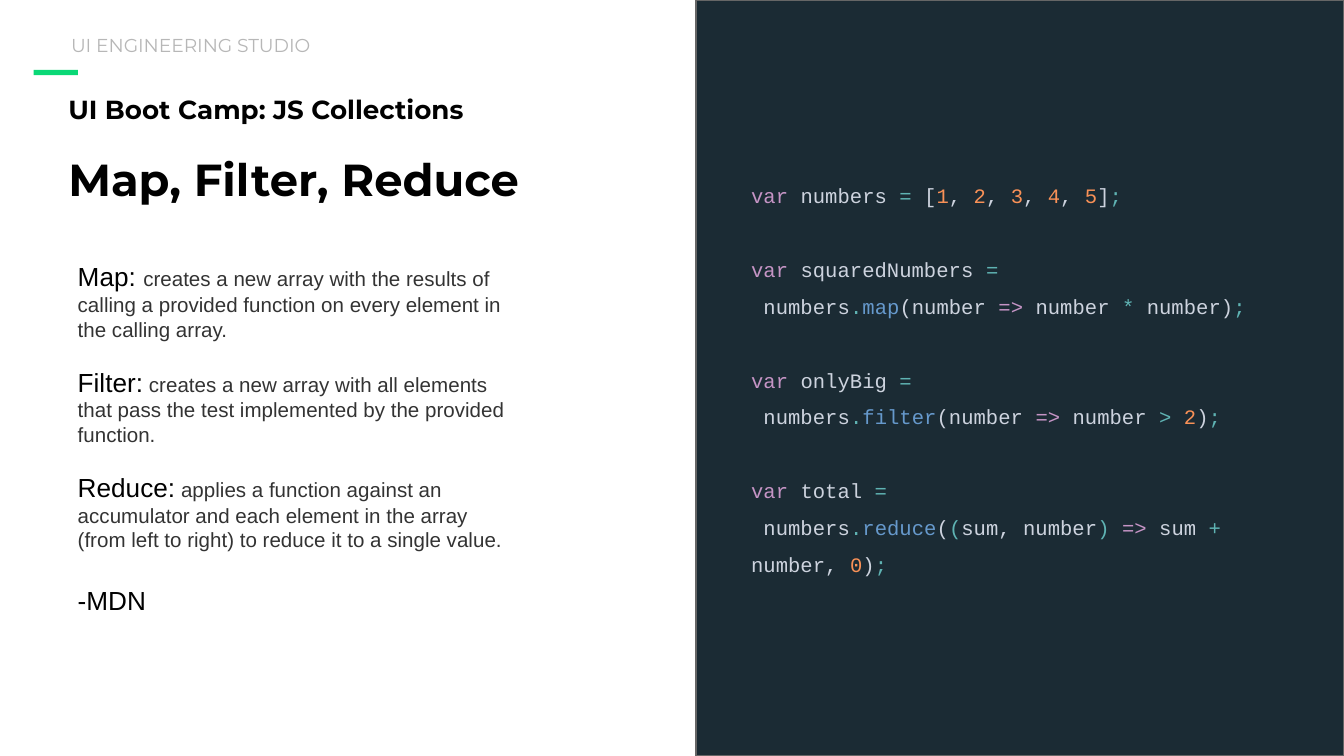
from pptx import Presentation
from pptx.dml.color import RGBColor
from pptx.enum.shapes import MSO_SHAPE as SHAPE
from pptx.enum.text import MSO_ANCHOR as ANCHOR
from pptx.util import Inches, Pt

WIDTH = 10
HEIGHT = WIDTH * 9 / 16
PANEL_LEFT = 5.18

BLACK, GREY = "000000", "333333"
KEYWORD, PLAIN, OP, NUM, FUNC = "C594C5", "CDD3DE", "5FB3B3", "F99157", "6699CC"

DEFINITIONS = [
    ("Map: ", "creates a new array with the results of calling a provided function "
              "on every element in the calling array."),
    ("Filter:", " creates a new array with all elements that pass the test "
                "implemented by the provided function."),
    ("Reduce:", " applies a function against an accumulator and each element in the "
                "array (from left to right) to reduce it to a single value."),
]
NUMBERS = ["1", "2", "3", "4", "5"]
CALLS = [
    ("squaredNumbers", "map",
     [("(number ", PLAIN), ("=>", KEYWORD), (" number", PLAIN), (" *", OP),
      (" number)", PLAIN)]),
    ("onlyBig", "filter",
     [("(number ", PLAIN), ("=>", KEYWORD), (" number", PLAIN), (" > ", OP),
      ("2", NUM), (")", PLAIN)]),
    ("total", "reduce",
     [("(", PLAIN), ("(", OP), ("sum, number", PLAIN), (") ", OP), ("=>", KEYWORD),
      (" sum", PLAIN), (" +", OP), (" number, ", PLAIN), ("0", NUM), (")", PLAIN)]),
]
CODE_GAP, TEXT_GAP, SOURCE_GAP = 19.8, 13.2, 17.2


def rgb(value):
    return RGBColor.from_string(value)


def add_rect(s, box, fill, line=None):
    sp = s.shapes.add_shape(SHAPE.RECTANGLE, *map(Inches, box))
    sp.shadow.inherit = False
    sp.fill.solid()
    sp.fill.fore_color.rgb = rgb(fill)
    if line:
        sp.line.color.rgb = rgb(line)
        sp.line.width = Pt(0.75)
    else:
        sp.line.fill.background()


def add_text(s, box, paragraphs, font, bold=False, spacing=1.0, anchor=ANCHOR.TOP):
    tf = s.shapes.add_textbox(*map(Inches, box)).text_frame
    tf.word_wrap = True
    tf.vertical_anchor = anchor
    tf.margin_left = tf.margin_right = tf.margin_top = tf.margin_bottom = Inches(0.1)
    for i, (before, runs) in enumerate(paragraphs):
        p = tf.add_paragraph() if i else tf.paragraphs[0]
        p.line_spacing = spacing
        p.space_before = Pt(before)
        for text, size, color in runs:
            r = p.add_run()
            r.text = text
            r.font.name = font
            r.font.size = Pt(size)
            r.font.bold = bold
            r.font.color.rgb = rgb(color)


def code_line(before, tokens):
    return before, [(text, 11, color) for text, color in tokens]


def declaration(name):
    return [("var", KEYWORD), (f" {name}", PLAIN), (" =", OP)]


def code_paragraphs():
    array = [(" [", PLAIN)]
    for i, number in enumerate(NUMBERS):
        if i:
            array.append((", ", PLAIN))
        array.append((number, NUM))
    array += [("]", PLAIN), (";", OP)]
    lines = [code_line(0, declaration("numbers") + array)]
    for name, method, arguments in CALLS:
        call = [(" numbers", PLAIN), (".", OP), (method, FUNC), *arguments, (";", OP)]
        lines += [code_line(CODE_GAP, declaration(name)), code_line(0, call)]
    return lines


def definition_paragraphs():
    lines = [(TEXT_GAP if i else 0, [(term, 14, BLACK), (meaning, 11, GREY)])
             for i, (term, meaning) in enumerate(DEFINITIONS)]
    return lines + [(SOURCE_GAP, [("-MDN", 14, BLACK)])]


def main():
    prs = Presentation()
    prs.slide_width, prs.slide_height = Inches(WIDTH), Inches(HEIGHT)
    s = prs.slides.add_slide(prs.slide_layouts[6])

    add_rect(s, (PANEL_LEFT, 0, WIDTH - PANEL_LEFT, HEIGHT), "1B2B34", line="666666")
    add_text(s, (0.41, 0.56, 4.59, 0.95),
             [(0, [("UI Boot Camp: JS Collections", 14, BLACK)]),
              (10, [("Map, Filter, Reduce", 24, BLACK)])],
             "Montserrat", bold=True, spacing=1.15)
    add_rect(s, (0.25, 0.52, 0.33, 0.04), "0AD876")
    add_text(s, (0.43, 0.19, 3.78, 0.26),
             [(0, [("UI ENGINEERING STUDIO", 10, "B7B7B7")])],
             "Montserrat", spacing=1.15, anchor=ANCHOR.MIDDLE)
    add_text(s, (0.48, 1.84, 3.49, 2.46), definition_paragraphs(), "Arial")
    add_text(s, (5.49, 0.24, 4.35, 5.08), code_paragraphs(),
             "Courier New", spacing=1.5, anchor=ANCHOR.MIDDLE)

    prs.save("out.pptx")


if __name__ == "__main__":
    main()
